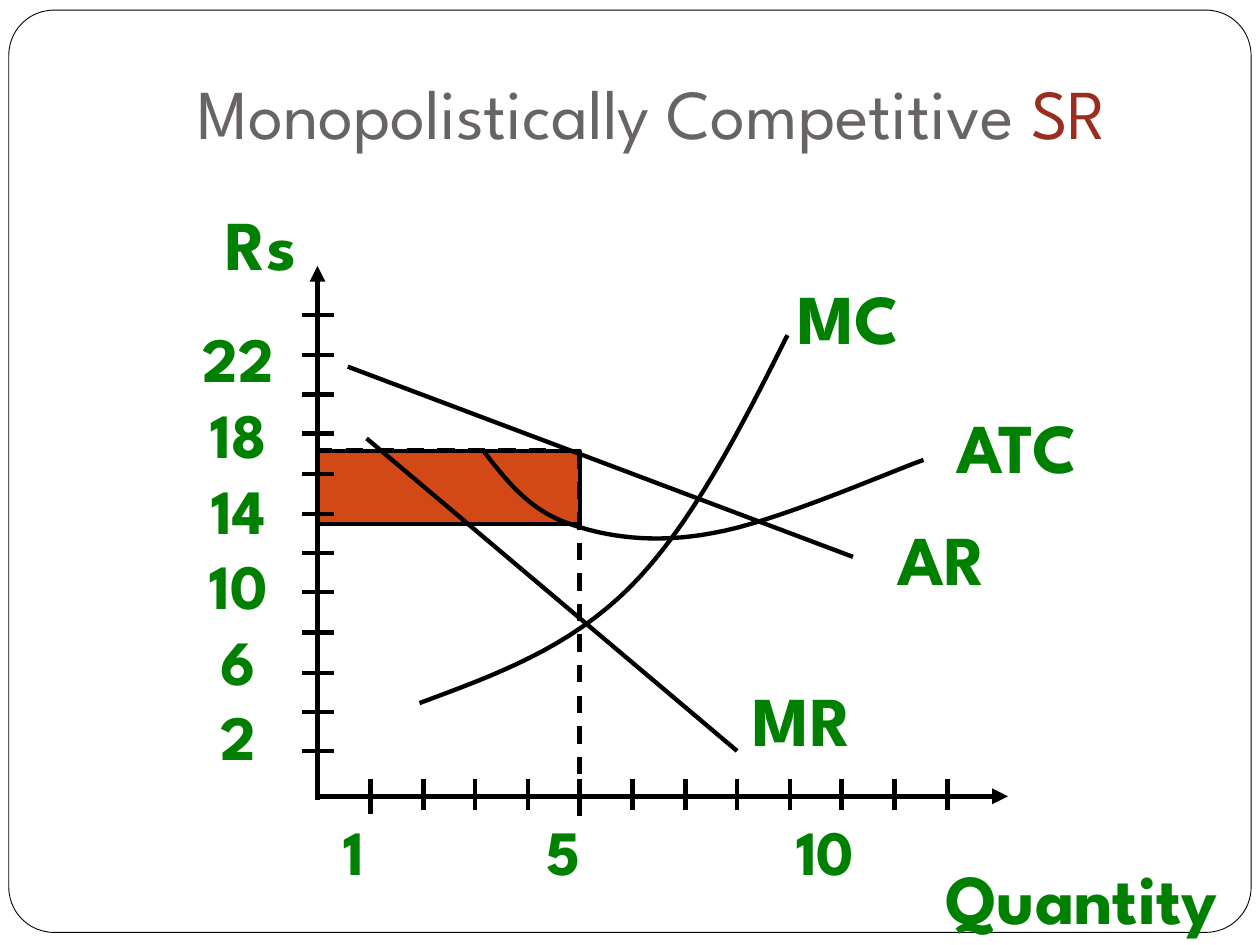
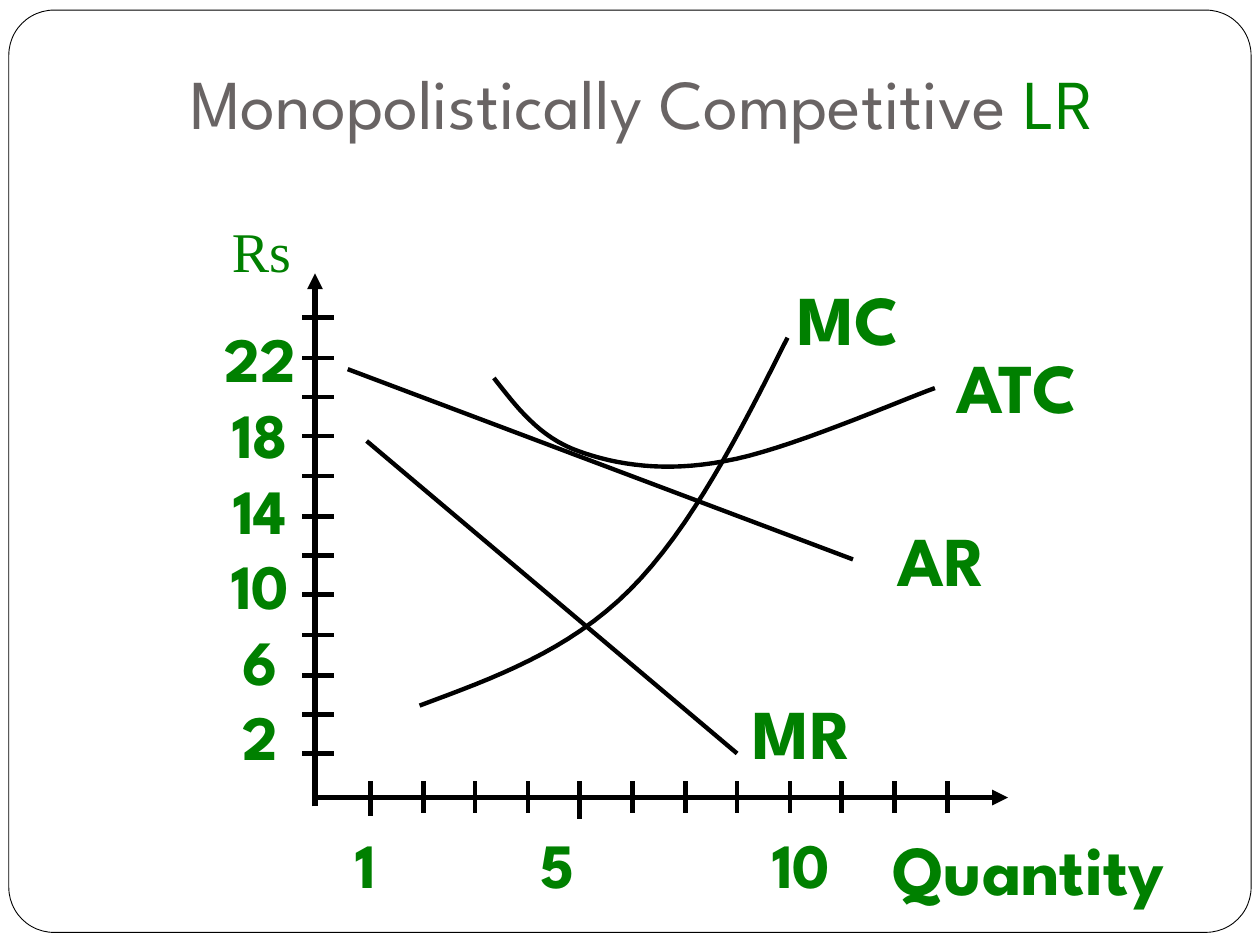
import lxml.etree
import pptx
import pptx.dml.color
import pptx.enum.dml
import pptx.enum.shapes
import pptx.enum.text
import pptx.oxml.ns
import pptx.util

PX = 9144
BLACK = pptx.dml.color.RGBColor(0x00, 0x00, 0x00)
WHITE = pptx.dml.color.RGBColor(0xFF, 0xFF, 0xFF)
GREEN = pptx.dml.color.RGBColor(0x00, 0x80, 0x00)
GREY = pptx.dml.color.RGBColor(0x69, 0x64, 0x64)
DARK_RED = pptx.dml.color.RGBColor(0x9B, 0x2D, 0x1F)
ORANGE = pptx.dml.color.RGBColor(0xD3, 0x48, 0x17)
FONT = "League Spartan"
SERIF = "Times New Roman"
CENTER = pptx.enum.text.PP_ALIGN.CENTER
LEFT = pptx.enum.text.PP_ALIGN.LEFT

TICK_COUNT = 12
TICK_LENGTH = 25
LABELLED_TICKS = {0: 3, 4: 5}
CURVE_STEPS = 16
MC_CURVE = [(333, 558), (392, 536), (451, 515), (500, 466),
            (548, 418), (587, 342), (625, 266)]
ATC_CURVE = [(0, 0), (18, 23), (36, 47), (67, 58), (97, 69),
             (136, 75), (183, 66), (231, 58), (322, 18), (350, 8)]


def px(length):
    return pptx.util.Emu(round(length * PX))


def add_child(parent, tag, **attributes):
    return lxml.etree.SubElement(parent, pptx.oxml.ns.qn(tag), attributes)


def add_rectangle(page, kind, area, fill, width):
    box = page.shapes.add_shape(kind, *map(px, area))
    box.shadow.inherit = False
    box.fill.solid()
    box.fill.fore_color.rgb = fill
    box.line.color.rgb = BLACK
    box.line.width = pptx.util.Pt(width)
    return box


def add_line(page, start, end, width=2.5, dashed=False, arrow=False):
    connector = page.shapes.add_connector(
        pptx.enum.shapes.MSO_CONNECTOR.STRAIGHT, *map(px, start + end))
    connector.line.color.rgb = BLACK
    connector.line.width = pptx.util.Pt(width)
    if dashed:
        connector.line.dash_style = pptx.enum.dml.MSO_LINE.DASH
    properties = connector._element.spPr
    if arrow:
        outline = properties.find(pptx.oxml.ns.qn("a:ln"))
        add_child(outline, "a:tailEnd", type="triangle")
    add_child(properties, "a:effectLst")


def bezier_point(controls, t):
    weights = ((1 - t) ** 3, 3 * t * (1 - t) ** 2, 3 * t ** 2 * (1 - t), t ** 3)
    return tuple(px(sum(weight * point[axis] for weight, point in zip(weights, controls)))
                 for axis in (0, 1))


def add_curve(page, points, left=0, top=0):
    points = [(x + left, y + top) for x, y in points]
    vertices = [bezier_point(points[first:first + 4], step / CURVE_STEPS)
                for first in range(0, len(points) - 1, 3)
                for step in range(1, CURVE_STEPS + 1)]
    builder = page.shapes.build_freeform(*map(px, points[0]), scale=1.0)
    builder.add_line_segments(vertices, close=False)
    curve = builder.convert_to_shape()
    curve.shadow.inherit = False
    curve.fill.background()
    curve.line.color.rgb = BLACK
    curve.line.width = pptx.util.Pt(2.5)


def add_text(page, area, paragraphs, size=40, bold=True, font=FONT,
             align=CENTER, wrap=False):
    box = page.shapes.add_textbox(*map(px, area))
    frame = box.text_frame
    frame.word_wrap = wrap
    frame.auto_size = pptx.enum.text.MSO_AUTO_SIZE.SHAPE_TO_FIT_TEXT
    for index, runs in enumerate(paragraphs):
        para = frame.add_paragraph() if index else frame.paragraphs[0]
        para.alignment = align
        for text, color in runs:
            span = para.add_run()
            span.text = text
            span.font.size = pptx.util.Pt(size)
            span.font.bold = bold
            span.font.name = font
            span.font.color.rgb = color
    return box


def add_label(page, text, left, top, width):
    add_text(page, (left, top, width, 77), [[(text, GREEN)]])


def add_quantity_numbers(page, left, top, stops):
    box = add_text(page, (left, top, 446, 70), [[("1\t5\t10", GREEN)]],
                   size=36, align=LEFT, wrap=True)
    tabs = add_child(box.text_frame.paragraphs[0]._p.get_or_add_pPr(), "a:tabLst")
    for stop in stops:
        add_child(tabs, "a:tab", pos=str(px(stop)), algn="ctr")


def add_price_numbers(page, left):
    prices = [[(str(price), GREEN)] for price in range(22, 0, -4)]
    add_text(page, (left, 249, 77, 370), prices, size=36)


def add_page(deck):
    page = deck.slides.add_slide(deck.slide_layouts[6])
    frame = add_rectangle(page, pptx.enum.shapes.MSO_SHAPE.ROUNDED_RECTANGLE,
                          (7, 8, 986, 732), WHITE, 0.5)
    frame.adjustments[0] = 0.049
    return page


def add_title(page, left, top, period, color):
    add_text(page, (left, top, 851, 77),
             [[("Monopolistically Competitive ", GREY), (period, color)]], bold=False)


def add_axes(page, origin, arrow_top, axis_foot, shift):
    left, base = origin
    add_line(page, (250, base), (800, base), width=3, arrow=True)
    add_line(page, (left, axis_foot), (left, arrow_top), width=3, arrow=True)
    for index in range(TICK_COUNT):
        x = 294 + round(index * 41.6)
        y = 250 + round(index * 31.5) + shift
        top = 618 + shift
        bottom = top + TICK_LENGTH + LABELLED_TICKS.get(index, 0)
        add_line(page, (x, top), (x, bottom))
        add_line(page, (240, y), (240 + TICK_LENGTH, y))


def add_market_curves(page, shift, atc_start):
    add_line(page, (276, 291 + shift), (677, 442 + shift))
    add_line(page, (291, 348 + shift), (585, 596 + shift))
    add_curve(page, MC_CURVE, top=shift)
    add_curve(page, ATC_CURVE, *atc_start)


def add_curve_labels(page, shift, mr_top, atc_top):
    add_label(page, "AR", 700, 404 + shift, 95)
    add_label(page, "MC", 620, 213 + shift, 107)
    add_label(page, "MR", 582, mr_top, 109)
    add_label(page, "ATC", 744, atc_top, 126)


def build_short_run(deck):
    page = add_page(deck)
    add_rectangle(page, pptx.enum.shapes.MSO_SHAPE.RECTANGLE,
                  (252, 358, 208, 58), ORANGE, 2.25)
    add_axes(page, (252, 632), 211, 635, 0)
    add_market_curves(page, 0, (383, 357))
    add_line(page, (460, 358), (460, 631), dashed=True)
    add_line(page, (250, 357), (442, 357), dashed=True)
    add_line(page, (252, 416), (444, 416), dashed=True)
    add_curve_labels(page, 0, 532, 315)
    add_label(page, "Rs", 165, 154, 84)
    add_label(page, "Quantity", 725, 673, 267)
    add_quantity_numbers(page, 263, 640, (174, 382))
    add_price_numbers(page, 151)
    add_title(page, 92, 50, "SR", DARK_RED)


def build_long_run(deck):
    page = add_page(deck)
    add_axes(page, (250, 633), 217, 640, 2)
    add_market_curves(page, 2, (392, 300))
    add_curve_labels(page, 1, 542, 268)
    add_text(page, (174, 167, 67, 64), [[("Rs", GREEN)]],
             size=32, bold=False, font=SERIF)
    add_label(page, "Quantity", 683, 650, 267)
    add_quantity_numbers(page, 272, 650, (161, 354))
    add_price_numbers(page, 168)
    add_title(page, 84, 42, "LR", GREEN)


def main():
    deck = pptx.Presentation()
    deck.slide_width = px(1000)
    deck.slide_height = px(750)
    build_short_run(deck)
    build_long_run(deck)
    deck.save("out.pptx")


if __name__ == "__main__":
    main()
